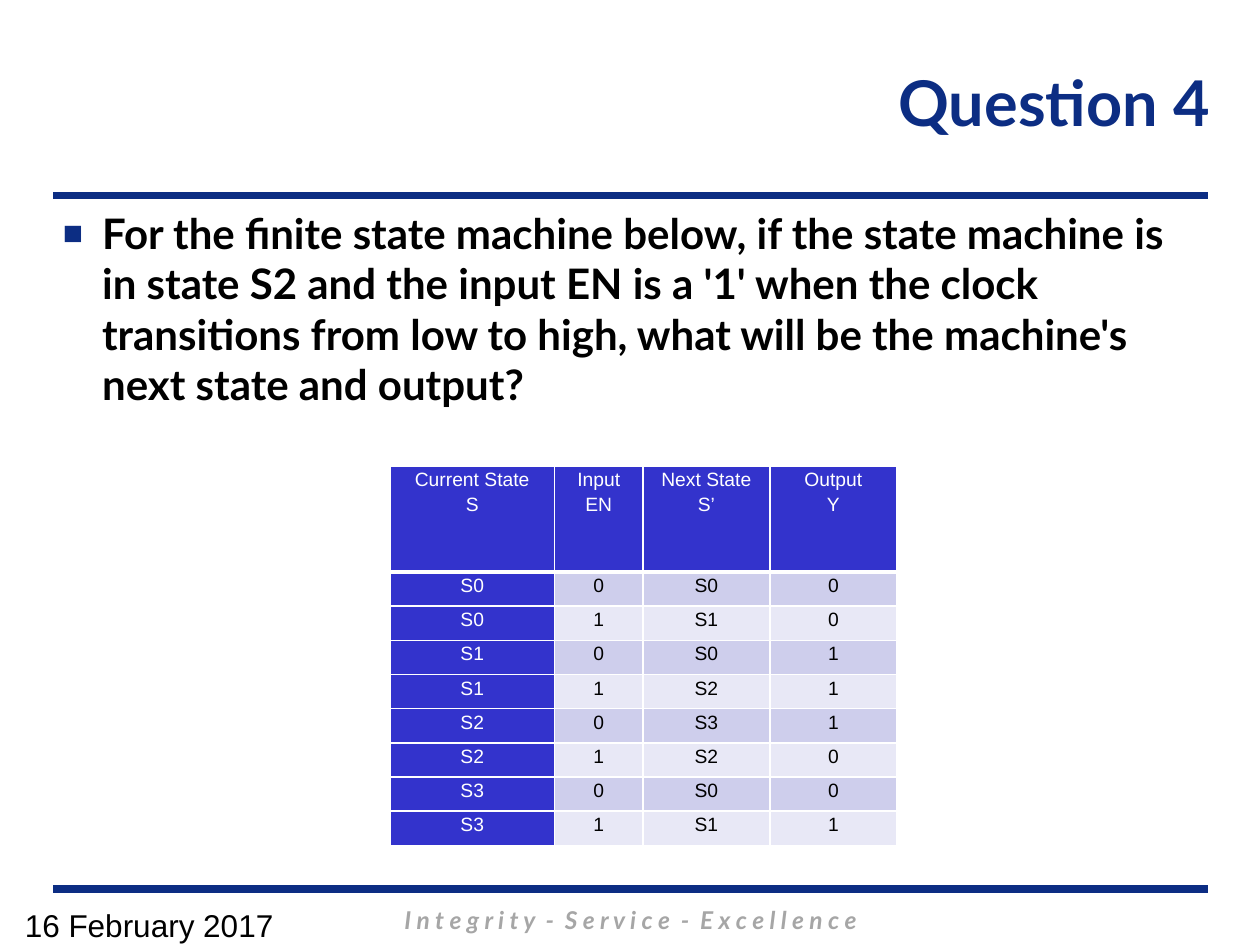
from lxml.etree import SubElement
from pptx import Presentation
from pptx.dml.color import RGBColor
from pptx.enum.shapes import MSO_CONNECTOR
from pptx.enum.text import MSO_ANCHOR as ANCHOR, PP_ALIGN as ALIGN
from pptx.oxml.ns import qn
from pptx.util import Cm, Pt

COLORS = {
    "navy": "0C2D83",
    "gray": "A6A6A6",
    "black": "000000",
    "white": "FFFFFF",
    "head": "3333CC",
    "odd": "CECEEC",
    "even": "E8E8F6",
}
HEADERS = [("Current State", "S"), ("Input", "EN"), ("Next State", "S’"), ("Output", "Y")]
STATES = [
    ("S0", "0", "S0", "0"),
    ("S0", "1", "S1", "0"),
    ("S1", "0", "S0", "1"),
    ("S1", "1", "S2", "1"),
    ("S2", "0", "S3", "1"),
    ("S2", "1", "S2", "0"),
    ("S3", "0", "S0", "0"),
    ("S3", "1", "S1", "1"),
]
COL_WIDTHS = [3.32, 1.78, 2.56, 2.56]
HEADER_HEIGHT, ROW_HEIGHT = 2.13, 0.69


def rgb(name):
    return RGBColor.from_string(COLORS[name])


def add_run(p, text, size, color, font="Arial", bold=False, italic=False):
    r = p.add_run()
    r.text = text
    r.font.size = Pt(size)
    r.font.name = font
    r.font.bold = bold
    r.font.italic = italic
    r.font.color.rgb = rgb(color)


def add_text(slide, box, text, size, color, align=ALIGN.LEFT, anchor=ANCHOR.TOP, **style):
    sp = slide.shapes.add_textbox(*map(Cm, box))
    tf = sp.text_frame
    tf.word_wrap = True
    tf.vertical_anchor = anchor
    p = tf.paragraphs[0]
    p.alignment = align
    add_run(p, text, size, color, **style)
    return p


def add_bullet(p, char, color, percent, indent):
    pPr = p._p.get_or_add_pPr()
    pPr.set("marL", str(Cm(indent)))
    pPr.set("indent", str(-Cm(indent)))
    clr = SubElement(pPr, qn("a:buClr"))
    SubElement(clr, qn("a:srgbClr"), val=COLORS[color])
    SubElement(pPr, qn("a:buSzPct"), val=str(percent * 1000))
    SubElement(pPr, qn("a:buFont"), typeface="Arial")
    SubElement(pPr, qn("a:buChar"), char=char)


def add_rule(slide, y):
    line = slide.shapes.add_connector(MSO_CONNECTOR.STRAIGHT, Cm(1.07), Cm(y), Cm(24.36), Cm(y))
    line.line.color.rgb = rgb("navy")
    line.line.width = Pt(4.5)
    SubElement(line._element.spPr, qn("a:effectLst"))


def add_borders(cell, bottom):
    tcPr = cell._tc.get_or_add_tcPr()
    for side, width in (("L", 1), ("R", 1), ("T", 1), ("B", bottom)):
        ln = SubElement(tcPr, qn(f"a:ln{side}"), w=str(Pt(width)))
        fill = SubElement(ln, qn("a:solidFill"))
        SubElement(fill, qn("a:srgbClr"), val=COLORS["white"])


def fill_cell(cell, lines, color, fill, bottom=1):
    cell.margin_left = cell.margin_right = Cm(0.18)
    cell.margin_top = cell.margin_bottom = 0
    add_borders(cell, bottom)
    cell.fill.solid()
    cell.fill.fore_color.rgb = rgb(fill)
    tf = cell.text_frame
    for i, text in enumerate(lines):
        p = tf.add_paragraph() if i else tf.paragraphs[0]
        p.alignment = ALIGN.CENTER
        p.line_spacing = 1.15
        add_run(p, text, 11, color)


def add_state_table(slide, left, top):
    height = HEADER_HEIGHT + ROW_HEIGHT * len(STATES)
    frame = slide.shapes.add_table(
        len(STATES) + 1, len(HEADERS), Cm(left), Cm(top), Cm(sum(COL_WIDTHS)), Cm(height)
    )
    table = frame.table
    for col, width in zip(table.columns, COL_WIDTHS):
        col.width = Cm(width)
    for i, row in enumerate(table.rows):
        row.height = Cm(ROW_HEIGHT if i else HEADER_HEIGHT)
    for c, lines in enumerate(HEADERS):
        fill_cell(table.cell(0, c), lines, "white", "head", bottom=3)
    for i, state in enumerate(STATES, 1):
        band = "odd" if i % 2 else "even"
        for c, value in enumerate(state):
            color, fill = ("black", band) if c else ("white", "head")
            fill_cell(table.cell(i, c), [value], color, fill)


def main():
    prs = Presentation()
    prs.slide_width, prs.slide_height = Cm(25.4), Cm(19.05)
    s = prs.slides.add_slide(prs.slide_layouts[6])

    for y in (17.93, 3.94):
        add_rule(s, y)
    add_text(s, (3.61, 18.11, 18.21, 0.86),
             "I n t e g r i t y  -  S e r v i c e  -  E x c e l l e n c e",
             14, "gray", ALIGN.CENTER, font="Lato", bold=True, italic=True)
    add_text(s, (5.08, 0.51, 19.56, 3.05), "Question 4", 36, "navy",
             ALIGN.RIGHT, ANCHOR.MIDDLE, font="Lato", bold=True)
    question = add_text(
        s, (1.02, 4.06, 23.37, 13.72),
        "For the finite state machine below, if the state machine is in state S2 "
        "and the input EN is a '1' when the clock transitions from low to high, "
        "what will be the machine's next state and output?",
        24, "black", font="Lato", bold=True)
    add_bullet(question, "■", "navy", 80, 0.79)
    add_text(s, (0.25, 18.13, 5.92, 0.92), "16 February 2017", 18, "black")
    add_state_table(s, 7.86, 9.4)

    prs.save("out.pptx")


if __name__ == "__main__":
    main()
